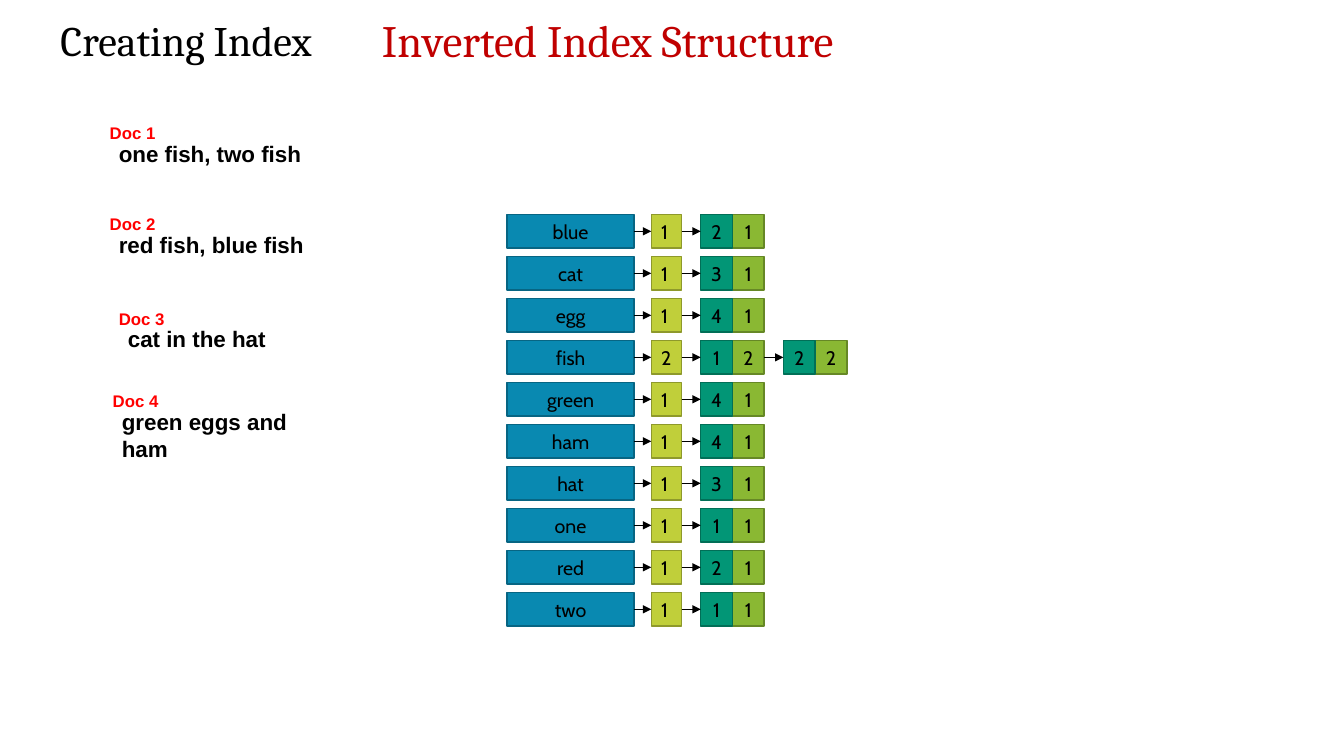
from dataclasses import dataclass

from lxml import etree
from pptx import Presentation
from pptx import util as u
from pptx.dml.color import RGBColor
from pptx.enum import shapes, text
from pptx.oxml.ns import qn


@dataclass(frozen=True)
class Theme:
    # Fill and line of each kind of cell
    term: tuple = ("0989B1", "076583")
    count: tuple = ("C0CF3A", "8E992B")
    doc_id: tuple = ("029676", "016F57")
    frequency: tuple = ("8AB833", "668826")
    ink: str = "000000"
    accent: str = "C00000"
    label: str = "FF0000"
    heading_font: str = "Cambria"
    doc_font: str = "Arial"
    cell_font: str = "Cabin"
    title_size: int = 30
    subtitle_size: int = 32
    doc_size: int = 16
    label_size: int = 12
    cell_size: int = 14
    cell_line: float = 1
    arrow_line: float = 0.5


THEME = Theme()
SLIDE_WIDTH, SLIDE_HEIGHT = 13.33, 7.5

# Documents: left, top, label, content
DOCUMENTS = [
    (0.99, 1.17, "Doc 1", "one fish, two fish"),
    (0.99, 2.07, "Doc 2", "red fish, blue fish"),
    (1.08, 3.01, "Doc 3", "cat in the hat"),
    (1.02, 3.83, "Doc 4", "green eggs and ham"),
]

# Index: term and its postings (document number, frequency)
INDEX = {
    "blue": [(2, 1)],
    "cat": [(3, 1)],
    "egg": [(4, 1)],
    "fish": [(1, 2), (2, 2)],
    "green": [(4, 1)],
    "ham": [(4, 1)],
    "hat": [(3, 1)],
    "one": [(1, 1)],
    "red": [(2, 1)],
    "two": [(1, 1)],
}

# Columns of the index grid
CELL_HEIGHT = 0.33
TERM_WIDTH, COUNT_WIDTH, POSTING_WIDTH = 1.26, 0.3, 0.315
TERM_GAP, POSTING_GAP = 0.17, 0.19


def rgb(value):
    return RGBColor.from_string(value)


def write(shape, words, font, size, color, bold=False,
          align=text.PP_ALIGN.LEFT, anchor=text.MSO_ANCHOR.TOP):
    frame = shape.text_frame
    frame.text = str(words)
    frame.word_wrap = False
    frame.vertical_anchor = anchor
    para = frame.paragraphs[0]
    para.alignment = align
    para.font.name, para.font.size = font, u.Pt(size)
    para.font.bold = bold
    para.font.color.rgb = rgb(color)


def add_label(page, box, *style, **options):
    label = page.shapes.add_textbox(*map(u.Inches, box))
    write(label, *style, **options)


def add_cell(page, left, top, width, words, colors, **options):
    cell = page.shapes.add_shape(
        shapes.MSO_SHAPE.RECTANGLE,
        *map(u.Inches, (left, top, width, CELL_HEIGHT)))
    cell.shadow.inherit = False
    cell.fill.solid()
    cell.fill.fore_color.rgb = rgb(colors[0])
    cell.line.color.rgb = rgb(colors[1])
    cell.line.width = u.Pt(THEME.cell_line)
    placing = {"align": text.PP_ALIGN.CENTER, "anchor": text.MSO_ANCHOR.MIDDLE}
    write(cell, words, THEME.cell_font, THEME.cell_size, THEME.ink,
          **(placing | options))


def add_arrow(page, start, end, y):
    arrow = page.shapes.add_connector(
        shapes.MSO_CONNECTOR.STRAIGHT, *map(u.Inches, (start, y, end, y)))
    arrow.line.color.rgb = rgb(THEME.ink)
    arrow.line.width = u.Pt(THEME.arrow_line)
    etree.SubElement(arrow.line._get_or_add_ln(), qn("a:tailEnd"), type="triangle")
    etree.SubElement(arrow._element.spPr, qn("a:effectLst"))


def add_headings(page, left, top):
    title = page.shapes.title
    title.left, title.top, title.width, title.height = map(
        u.Inches, (left, top, 3.14, 0.61))
    write(title, "Creating Index", THEME.heading_font, THEME.title_size, THEME.ink)
    add_label(page, (left + 3.19, top - 0.01, 5.54, 0.64),
              "Inverted Index Structure", THEME.heading_font,
              THEME.subtitle_size, THEME.accent)


def add_document(page, left, top, name, content):
    add_label(page, (left + 0.09, top + 0.17, 2.1, 0.37), content,
              THEME.doc_font, THEME.doc_size, THEME.ink, bold=True)
    add_label(page, (left, top, 0.66, 0.3), name,
              THEME.doc_font, THEME.label_size, THEME.label, bold=True)


def add_index_row(page, left, top, term, postings):
    middle = top + CELL_HEIGHT / 2
    # Term and number of postings
    add_cell(page, left, top, TERM_WIDTH, term, THEME.term)
    count_left = left + TERM_WIDTH + TERM_GAP
    add_cell(page, count_left, top, COUNT_WIDTH, len(postings), THEME.count,
             align=text.PP_ALIGN.LEFT, anchor=text.MSO_ANCHOR.TOP)
    add_arrow(page, left + TERM_WIDTH, count_left, middle)
    # Chain of postings
    edge = count_left + COUNT_WIDTH
    for doc_id, frequency in postings:
        start = edge + POSTING_GAP
        split = start + POSTING_WIDTH
        add_cell(page, split, top, POSTING_WIDTH, frequency, THEME.frequency)
        add_cell(page, start, top, POSTING_WIDTH, doc_id, THEME.doc_id)
        add_arrow(page, edge, start, middle)
        edge = split + POSTING_WIDTH


def add_index(page, left, top, height):
    pitch = (height - CELL_HEIGHT) / (len(INDEX) - 1)
    for row, (term, postings) in enumerate(INDEX.items()):
        add_index_row(page, left, top + row * pitch, term, postings)


def main():
    deck = Presentation()
    deck.slide_width = u.Inches(SLIDE_WIDTH)
    deck.slide_height = u.Inches(SLIDE_HEIGHT)
    page = deck.slides.add_slide(deck.slide_layouts.get_by_name("Title Only"))
    add_headings(page, 0.5, 0.09)
    for document in DOCUMENTS:
        add_document(page, *document)
    add_index(page, 5.03, 2.13, 4.08)
    deck.save("out.pptx")


if __name__ == "__main__":
    main()
